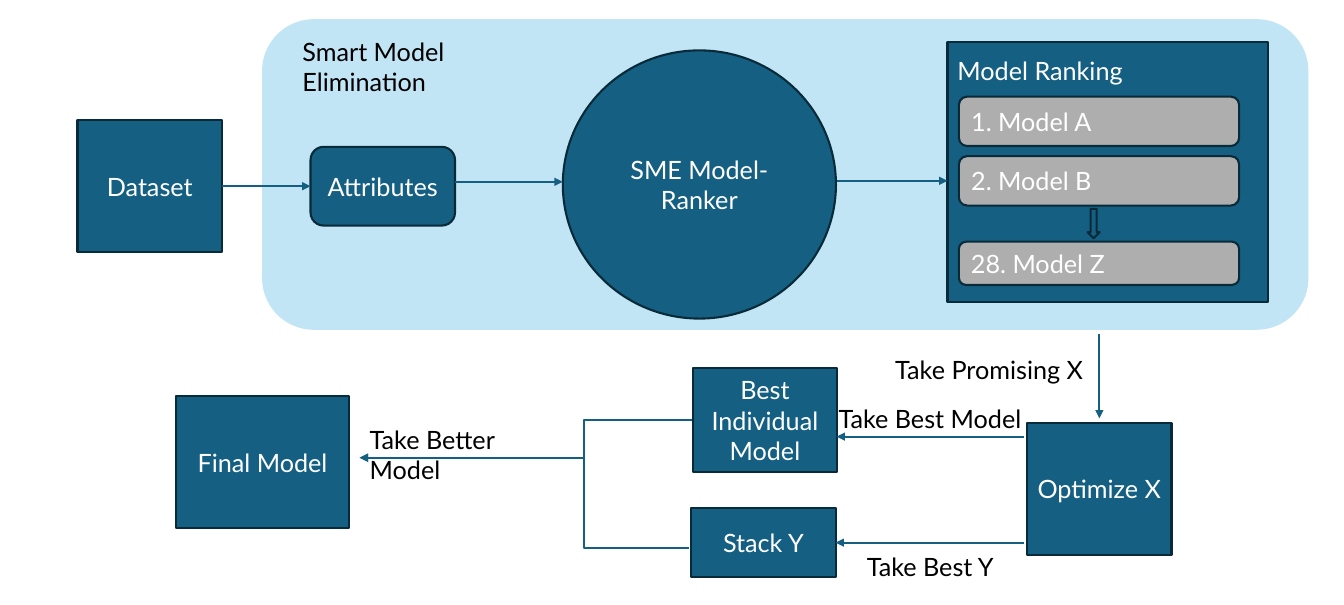
from dataclasses import dataclass

from lxml.etree import SubElement
from pptx import Presentation
from pptx.dml.color import RGBColor
from pptx.enum.shapes import MSO_CONNECTOR as Link, MSO_SHAPE as Preset
from pptx.enum.text import MSO_ANCHOR as Anchor, PP_ALIGN as Align
from pptx.oxml.ns import qn
from pptx.util import Pt

FONT = "Lato"
TEXT_SIZE = 18
LINE_WIDTH = 1.5
BLUE, DARK, SKY, GRAY = "156082", "092A39", "C1E5F5", "AEAEAE"
WHITE, BLACK = "FFFFFF", "000000"
BOX_WIDTH, BOX_HEIGHT = 103.2, 94.3
LABEL_WIDTH, LABEL_HEIGHT = 150.5, 28.8
ROW_LEFT, ROW_WIDTH = 684.9, 200.2
ARROW_START, ARROW_END = 731.5, 597.6
MERGE_X, MERGE_Y = 257, 326.9


@dataclass
class Box:
    key: str
    left: float
    top: float
    width: float
    height: float
    text: str = ""
    preset: Preset = Preset.RECTANGLE
    fill: str = BLUE
    line: str | None = DARK
    align: Align = Align.CENTER


@dataclass
class Label:
    text: str
    left: float
    top: float
    width: float = LABEL_WIDTH
    align: Align = Align.LEFT
    color: str = BLACK


@dataclass
class Arrow:
    start: tuple[float, float]
    end: tuple[float, float]
    source: str | None = None
    target: str | None = None
    bend: int | None = None


BOXES = [
    Box("elimination panel", 187.2, 13.7, 747.4, 221.8,
        preset=Preset.ROUNDED_RECTANGLE, fill=SKY, line=None),
    Box("dataset", 55.4, 85.8, BOX_WIDTH, BOX_HEIGHT, "Dataset"),
    Box("attributes", 221.8, 104.85, BOX_WIDTH, 56.2, "Attributes", Preset.ROUNDED_RECTANGLE),
    Box("ranker", 402, 36, 195.1, 191.5, "SME Model-Ranker", Preset.OVAL),
    Box("ranking panel", 676.8, 30.1, 229, 185.7),
    *(
        Box(text, ROW_LEFT, top, ROW_WIDTH, height, text,
            Preset.ROUNDED_RECTANGLE, GRAY, align=Align.LEFT)
        for text, top, height in [
            ("1. Model A", 69, 35.3),
            ("2. Model B", 111.5, 35.3),
            ("28. Model Z", 172.6, 30.9),
        ]
    ),
    Box("ranking arrow", 776.9, 149.2, 8.6, 20.9, preset=Preset.DOWN_ARROW),
    Box("optimize", 733.6, 301.9, BOX_WIDTH, BOX_HEIGHT, "Optimize X"),
    Box("stack", 493.7, 362.7, BOX_WIDTH, 49.6, "Stack Y"),
    Box("final model", 126, 282.7, 123.1, BOX_HEIGHT, "Final Model"),
    Box("best model", 494.8, 262.8, BOX_WIDTH, 74.2, "Best Individual Model"),
]

ARROWS = [
    Arrow((158.6, 132.95), (221.8, 132.95), "dataset", "attributes"),
    Arrow((324.7, 129.8), (402, 129.8)),
    Arrow((597.6, 129.1), (676.8, 129.1)),
    Arrow((785.3, 238.3), (785.3, 298.8)),
    Arrow((ARROW_START, 387.5), (ARROW_END, 387.5), target="stack"),
    Arrow((ARROW_START, 311.8), (ARROW_END, 311.8)),
    Arrow((492.5, 391.2), (MERGE_X, MERGE_Y), bend=32000),
    Arrow((494.6, 299.8), (MERGE_X, MERGE_Y), bend=32600),
]

LABELS = [
    Label("Model Ranking", 676.8, 36, ROW_WIDTH, color=WHITE),
    Label("Smart Model\nElimination", 209, 22.3, 206.6),
    Label("Take Promising X", 630.2, 249.5, align=Align.RIGHT),
    Label("Take Best Model", 589, 284.4, align=Align.CENTER),
    Label("Take Best Y", 589.2, 390.2, align=Align.CENTER),
    Label("Take Better\nModel", 257, 299.2, 154.1),
]


def color_of(value: str) -> RGBColor:
    return RGBColor.from_string(value)


def write_text(frame, text: str, align: Align, color: str) -> None:
    frame.word_wrap = True
    paragraph = frame.paragraphs[0]
    paragraph.alignment = align
    for index, line in enumerate(text.split("\n")):
        if index:
            paragraph.add_line_break()
        run = paragraph.add_run()
        run.text = line
        run.font.name = FONT
        run.font.size = Pt(TEXT_SIZE)
        run.font.color.rgb = color_of(color)


def draw_box(slide, box: Box):
    shape = slide.shapes.add_shape(
        box.preset, Pt(box.left), Pt(box.top), Pt(box.width), Pt(box.height))
    shape.shadow.inherit = False
    shape.fill.solid()
    shape.fill.fore_color.rgb = color_of(box.fill)
    if box.line:
        shape.line.color.rgb = color_of(box.line)
        shape.line.width = Pt(LINE_WIDTH)
    else:
        shape.line.fill.background()
    if box.text:
        shape.text_frame.vertical_anchor = Anchor.MIDDLE
        write_text(shape.text_frame, box.text, box.align, WHITE)
    return shape


def draw_label(slide, label: Label) -> None:
    shape = slide.shapes.add_textbox(
        Pt(label.left), Pt(label.top), Pt(label.width), Pt(LABEL_HEIGHT))
    write_text(shape.text_frame, label.text, label.align, label.color)


def draw_arrow(slide, arrow: Arrow, shapes: dict) -> None:
    kind = Link.STRAIGHT if arrow.bend is None else Link.ELBOW
    points = [Pt(value) for value in (*arrow.start, *arrow.end)]
    connector = slide.shapes.add_connector(kind, *points)
    if arrow.source:
        connector.begin_connect(shapes[arrow.source], 3)
    if arrow.target:
        side = 1 if arrow.end[0] > arrow.start[0] else 3
        connector.end_connect(shapes[arrow.target], side)
    connector.line.color.rgb = color_of(BLUE)
    connector.line.width = Pt(LINE_WIDTH)
    properties = connector.element.spPr
    SubElement(properties.find(qn("a:ln")), qn("a:tailEnd"), type="triangle")
    SubElement(properties, qn("a:effectLst"))
    if arrow.bend is not None:
        adjustments = properties.find(qn("a:prstGeom")).find(qn("a:avLst"))
        SubElement(adjustments, qn("a:gd"), name="adj1", fmla=f"val {arrow.bend}")


def main() -> None:
    presentation = Presentation()
    presentation.slide_width = Pt(960)
    presentation.slide_height = Pt(432)
    slide = presentation.slides.add_slide(presentation.slide_layouts[6])
    shapes = {box.key: draw_box(slide, box) for box in BOXES}
    for arrow in ARROWS:
        draw_arrow(slide, arrow, shapes)
    for label in LABELS:
        draw_label(slide, label)
    presentation.save("out.pptx")


if __name__ == "__main__":
    main()
